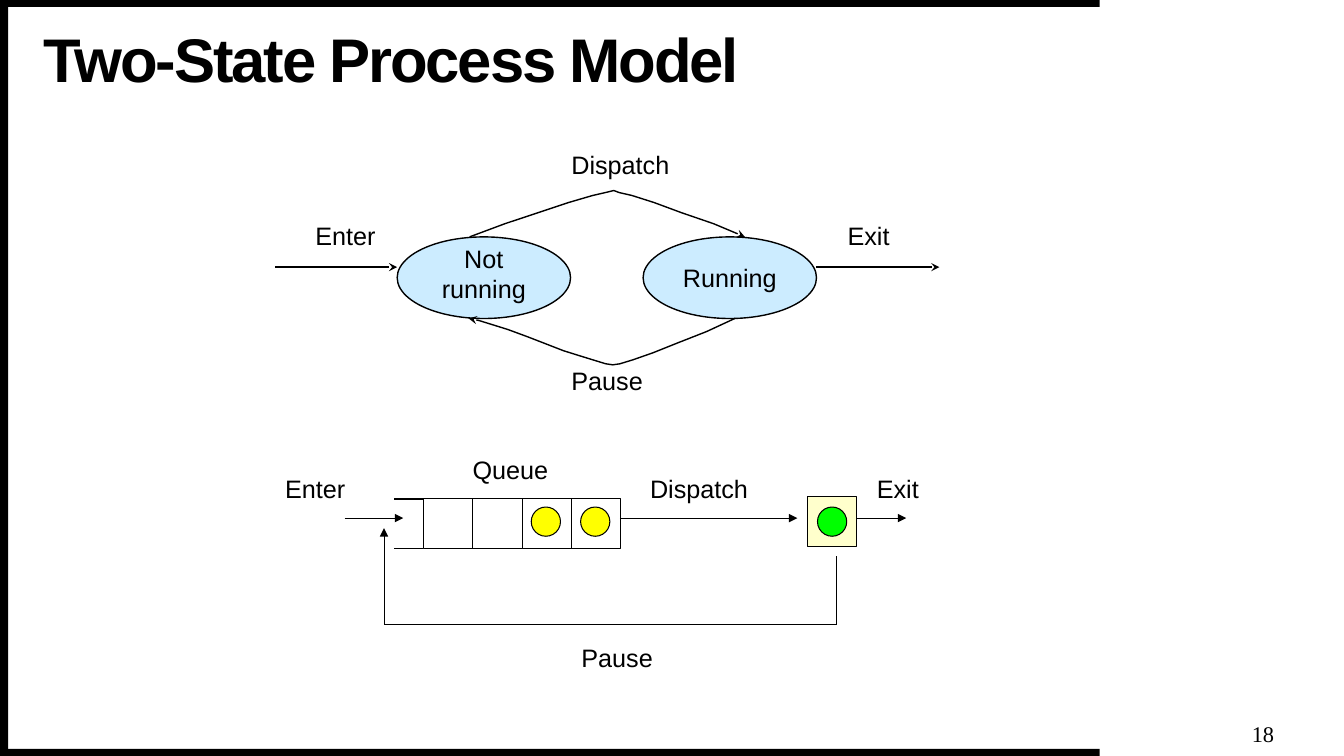
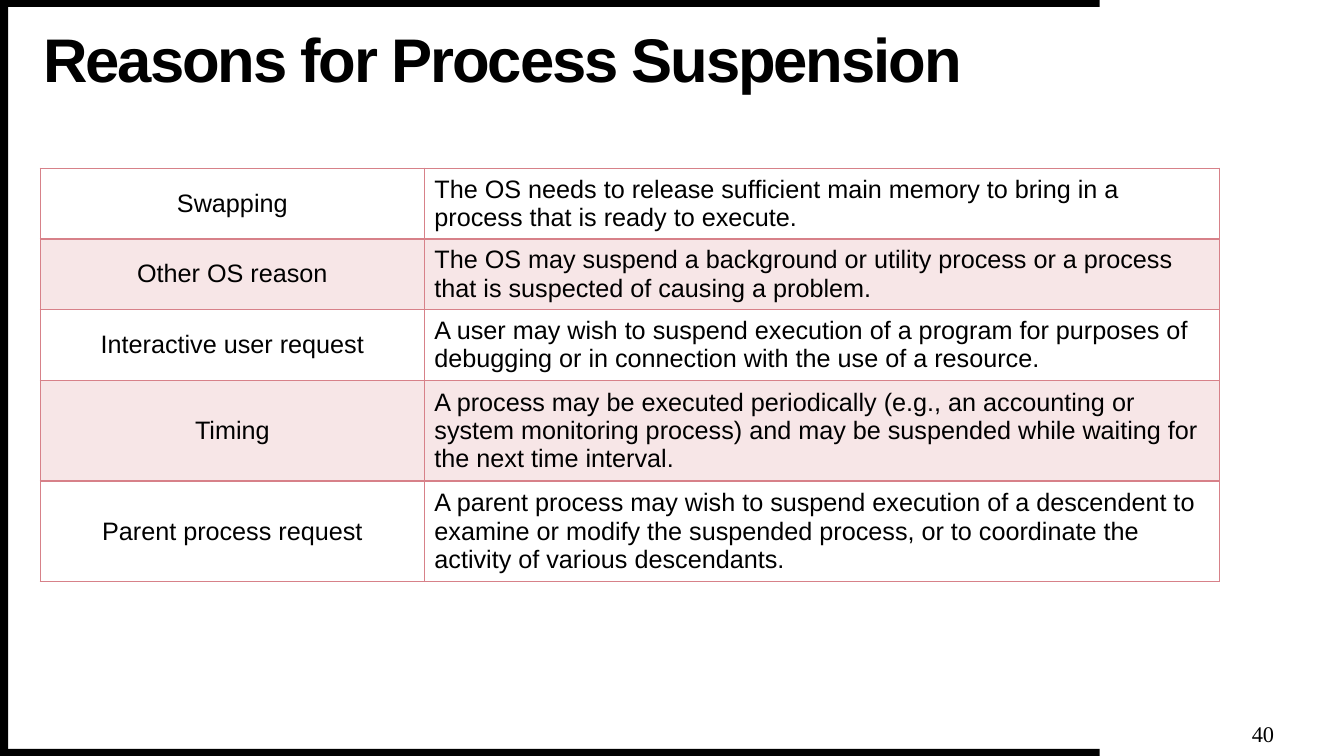
from dataclasses import dataclass

import lxml.etree
import pptx
import pptx.dml.color
import pptx.enum.shapes
import pptx.enum.text
import pptx.oxml.ns
import pptx.util

# Grid: columns and rows are a tenth of an inch, so the slide is 133.3 by 75
PITCH = 0.1
SLIDE_COLS, SLIDE_ROWS = 133.33, 75
BAND_COLS, BAND_THICKNESS = 109.1, 0.7

COLORS = {
    "black": "000000",
    "white": "FFFFFF",
    "state": "CCECFF",
    "processor": "FFFFCC",
    "waiting": "FFFF00",
    "executing": "00FF00",
    "border": "D78189",
    "stripe": "F7E6E7",
}
BODY_FONT, NUMBER_FONT = "Arial", "Times New Roman"
BODY_SIZE = 18

SHAPES = pptx.enum.shapes.MSO_SHAPE
ALIGN = pptx.enum.text.PP_ALIGN
ANCHOR = pptx.enum.text.MSO_ANCHOR
qn = pptx.oxml.ns.qn


@dataclass(frozen=True)
class Area:
    col: float
    row: float
    cols: float
    rows: float


@dataclass(frozen=True)
class Label:
    text: str
    area: Area


@dataclass(frozen=True)
class Line:
    start: tuple[float, float]
    end: tuple[float, float]
    width: float = 0.75
    tip: str = ""


@dataclass(frozen=True)
class Reason:
    name: str
    text: str
    rows: float


def grid(count: float) -> int:
    return pptx.util.Inches(count * PITCH)


def place(area: Area) -> tuple[int, int, int, int]:
    return grid(area.col), grid(area.row), grid(area.cols), grid(area.rows)


def color(name: str) -> pptx.dml.color.RGBColor:
    return pptx.dml.color.RGBColor.from_string(COLORS[name])


# Text
def format_text(frame, size=BODY_SIZE, font=BODY_FONT, align=ALIGN.LEFT, bold=False) -> None:
    for para in frame.paragraphs:
        para.alignment = align
        for span in para.runs:
            span.font.size = pptx.util.Pt(size)
            span.font.name = font
            span.font.bold = bold
            span.font.color.rgb = color("black")


def clear_margins(frame) -> None:
    frame.margin_left = frame.margin_right = frame.margin_top = frame.margin_bottom = 0
    frame.vertical_anchor = ANCHOR.MIDDLE


def add_label(page, label: Label):
    box = page.shapes.add_textbox(*place(label.area))
    box.text_frame.word_wrap = True
    box.text_frame.text = label.text
    format_text(box.text_frame)
    return box


# Shapes and lines
def set_line(item, width: float, tip: str = "") -> None:
    item.line.color.rgb = color("black")
    item.line.width = pptx.util.Pt(width)
    if tip:
        outline = next(item.element.iter(qn("a:ln")))
        lxml.etree.SubElement(outline, qn("a:tailEnd"), type=tip)


def add_shape(page, kind, area: Area, fill: str, width: float = 0.75):
    shape = page.shapes.add_shape(kind, *place(area))
    shape.shadow.inherit = False
    shape.fill.solid()
    shape.fill.fore_color.rgb = color(fill)
    if width:
        set_line(shape, width)
    else:
        shape.line.fill.background()
    return shape


def add_state(page, area: Area, text: str) -> None:
    state = add_shape(page, SHAPES.OVAL, area, "state", 1)
    frame = state.text_frame
    frame.word_wrap = False
    frame.vertical_anchor = ANCHOR.MIDDLE
    frame.text = text
    format_text(frame, align=ALIGN.CENTER)
    if len(frame.paragraphs) > 1:
        frame.paragraphs[0].line_spacing = 0.7


def add_line(page, line: Line) -> None:
    connector = page.shapes.add_connector(
        pptx.enum.shapes.MSO_CONNECTOR.STRAIGHT,
        *(grid(value) for value in line.start + line.end))
    set_line(connector, line.width, line.tip)
    lxml.etree.SubElement(connector.element.find(qn("p:spPr")), qn("a:effectLst"))


def add_curve(page, points: list[tuple[float, float]]) -> None:
    corners = [(grid(col), grid(row)) for col, row in points]
    builder = page.shapes.build_freeform(*corners[0])
    builder.add_line_segments(corners[1:], close=False)
    curve = builder.convert_to_shape()
    curve.shadow.inherit = False
    curve.fill.background()
    set_line(curve, 1, "stealth")


# Parts shared by all slides
def add_master_bands(deck, page) -> None:
    bands = [
        Area(0, SLIDE_ROWS - BAND_THICKNESS, BAND_COLS, BAND_THICKNESS),
        Area(0, 0, BAND_COLS, BAND_THICKNESS),
        Area(0, 0, 0.8, SLIDE_ROWS),
    ]
    for index, area in enumerate(bands):
        band = add_shape(page, SHAPES.RECTANGLE, area, "black", 0)
        next(band.element.iter(qn("p:cNvPr"))).set("id", str(101 + index))
        deck.slide_master.shapes.element.insert(2, band.element)


def add_page(deck, title: str, number: str):
    page = deck.slides.add_slide(deck.slide_layouts.get_by_name("Title Only"))
    heading = page.shapes.title
    heading.left, heading.top, heading.width, heading.height = place(Area(4.3, 2.5, 100.6, 7.4))
    frame = heading.text_frame
    frame.text = title
    frame.word_wrap = True
    frame.auto_size = pptx.enum.text.MSO_AUTO_SIZE.NONE
    clear_margins(frame)
    format_text(frame, size=44, bold=True)
    frame.paragraphs[0].line_spacing = 0.9
    for properties in heading.element.iter(qn("a:rPr")):
        properties.set("spc", "-150")

    box = add_label(page, Label(number, Area(123.8, 71.3, 3, 3)))
    clear_margins(box.text_frame)
    format_text(box.text_frame, size=16, font=NUMBER_FONT, align=ALIGN.CENTER)
    return page


# Slide 1: state diagram above, queue diagram below
def draw_states(page) -> None:
    add_state(page, Area(39.4, 23.5, 17.2, 8.1), "Not\nrunning")
    add_state(page, Area(63.8, 23.5, 17.2, 8.1), "Running")
    for left, right in ((27.3, 39.4), (81, 93.2)):
        add_line(page, Line((left, 26.5), (right, 26.5), 1, "stealth"))
    add_curve(page, [
        (72.9, 31.6), (70.1, 32.9), (67.3, 34), (64.8, 35), (62.8, 35.7), (61.5, 36.1),
        (60.8, 36.2), (60.1, 36.1), (58.8, 35.7), (57.5, 35.3), (55.9, 34.8), (54.1, 34.1),
        (52.3, 33.4), (50.4, 32.7), (48.8, 32.2), (47.5, 31.8), (46.5, 31.6)])
    add_curve(page, [
        (46.6, 23.5), (50.1, 22.2), (53.4, 21.1), (56.4, 20.1), (58.8, 19.4), (60.1, 19.1),
        (60.9, 18.9), (61.4, 19.1), (62.7, 19.4), (64.9, 20.1), (67.6, 21.1), (70.8, 22.2),
        (73.9, 23.5)])
    for label in (
        Label("Enter", Area(30.3, 21.4, 9.7, 4.9)),
        Label("Dispatch", Area(55.7, 14.3, 14.3, 4.9)),
        Label("Pause", Area(55.7, 35.7, 11.1, 4.9)),
        Label("Exit", Area(83.1, 21.4, 7.5, 4.9)),
    ):
        add_label(page, label)


def draw_queue(page) -> None:
    cell, dot = 4.9, 2.9
    queue_col, queue_row, slots = 42, 49.5, 4
    flow_row, return_row, return_col, pause_col = 51.4, 62, 38.1, 83
    for label in (
        Label("Enter", Area(27.3, 46.5, 9.4, 4.7)),
        Label("Queue", Area(45.9, 44.6, 11.2, 4.7)),
        Label("Dispatch", Area(63.5, 46.5, 13.8, 4.7)),
        Label("Pause", Area(56.7, 63.2, 10.7, 4.7)),
        Label("Exit", Area(86, 46.5, 7.2, 4.7)),
    ):
        add_label(page, label)

    for slot in range(slots):
        col = queue_col + slot * cell
        add_shape(page, SHAPES.RECTANGLE, Area(col, queue_row, cell, cell), "white")
        if slot >= slots - 2:
            add_shape(page, SHAPES.OVAL, Area(col + 0.9, 50.3, dot, dot), "waiting")

    for line in (
        Line((61.5, flow_row), (79.1, flow_row), tip="triangle"),
        Line((34.2, flow_row), (40, flow_row), tip="triangle"),
        Line((85, flow_row), (89.9, flow_row), tip="triangle"),
        Line((pause_col, 55.2), (pause_col, return_row)),
        Line((pause_col, return_row), (return_col, return_row)),
        Line((return_col, return_row), (return_col, 52.4), tip="triangle"),
        Line((queue_col, queue_row), (39.1, queue_row), 1),
        Line((queue_col, queue_row + cell), (39.1, queue_row + cell), 1),
    ):
        add_line(page, line)

    add_shape(page, SHAPES.RECTANGLE, Area(80.1, 49.3, cell, cell), "processor")
    add_shape(page, SHAPES.OVAL, Area(81.1, 50.3, dot, dot), "executing")


# Slide 2: table of reasons
REASONS = [
    Reason("Swapping", "The OS needs to release sufficient main memory to bring in a process "
           "that is ready to execute.", 6.6),
    Reason("Other OS reason", "The OS may suspend a background or utility process or a process "
           "that is suspected of causing a problem.", 6.6),
    Reason("Interactive user request", "A user may wish to suspend execution of a program for "
           "purposes of debugging or in connection with the use of a resource.", 6.6),
    Reason("Timing", "A process may be executed periodically (e.g., an accounting or system "
           "monitoring process) and may be suspended while waiting for the next time interval.",
           9.4),
    Reason("Parent process request", "A parent process may wish to suspend execution of a "
           "descendent to examine or modify the suspended process, or to coordinate the "
           "activity of various descendants.", 9.4),
]


def add_borders(properties) -> None:
    for index, side in enumerate(("lnL", "lnR", "lnT", "lnB")):
        edge = lxml.etree.Element(qn(f"a:{side}"), w=str(pptx.util.Pt(1)))
        fill = lxml.etree.SubElement(edge, qn("a:solidFill"))
        lxml.etree.SubElement(fill, qn("a:srgbClr"), val=COLORS["border"])
        properties.insert(index, edge)


def draw_reasons(page) -> None:
    widths = (38.1, 78.9)
    area = Area(4, 16.7, sum(widths), sum(reason.rows for reason in REASONS))
    holder = page.shapes.add_table(len(REASONS), len(widths), *place(area))
    table = holder.table
    table.first_row = table.horz_banding = False
    for column, width in zip(table.columns, widths):
        column.width = grid(width)
    for index, reason in enumerate(REASONS):
        table.rows[index].height = grid(reason.rows)
        for col, (text, align) in enumerate(((reason.name, ALIGN.CENTER),
                                             (reason.text, ALIGN.LEFT))):
            cell = table.cell(index, col)
            cell.text_frame.text = text
            cell.vertical_anchor = ANCHOR.MIDDLE
            format_text(cell.text_frame, align=align)
            if index % 2:
                cell.fill.solid()
                cell.fill.fore_color.rgb = color("stripe")
            else:
                cell.fill.background()
    for properties in holder.element.iter(qn("a:tcPr")):
        add_borders(properties)


def main() -> None:
    deck = pptx.Presentation()
    deck.slide_width, deck.slide_height = grid(SLIDE_COLS), grid(SLIDE_ROWS)
    model = add_page(deck, "Two-State Process Model", "18")
    add_master_bands(deck, model)
    draw_states(model)
    draw_queue(model)
    draw_reasons(add_page(deck, "Reasons for Process Suspension", "40"))
    deck.save("out.pptx")


if __name__ == "__main__":
    main()
